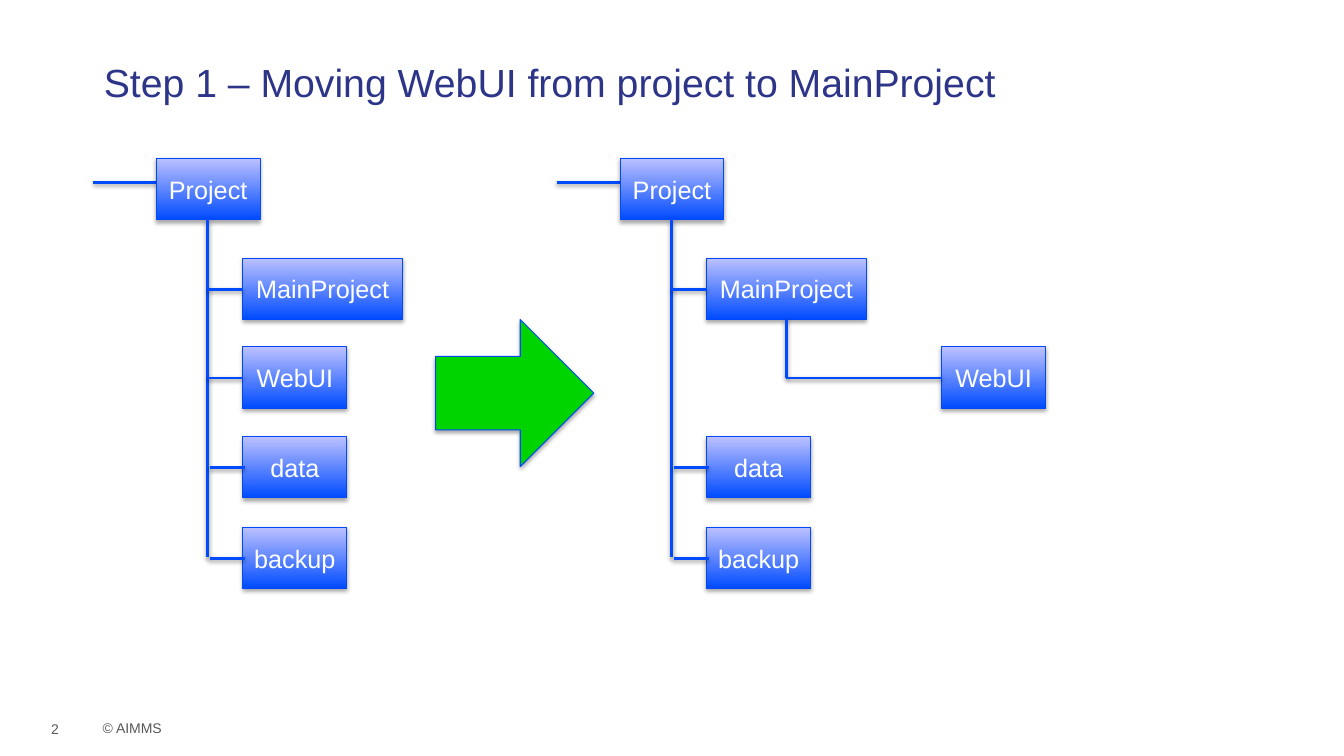
from pptx import Presentation
from pptx.dml.color import RGBColor
from pptx.enum.shapes import MSO_CONNECTOR as Connector, MSO_SHAPE as Shape
from pptx.enum.text import MSO_ANCHOR as Anchor, PP_ALIGN as Align
from pptx.oxml import parse_xml
from pptx.oxml.ns import nsdecls
from pptx.util import Pt

PX = 9144  # 100 px to the inch
COLORS = {
    "title": "2D3589",
    "footer": "585858",
    "line": "004BFF",
    "border": "0049F9",
    "light": "BDC1FF",
    "arrow": "00D400",
    "text": "FFFFFF",
}
BOX_HEIGHT = 61
NARROW, WIDE = 103, 158


def color(name):
    return RGBColor.from_string(COLORS[name])


class TreeSlide:
    font_name = "Arial"

    def __init__(self, presentation):
        self.slide = presentation.slides.add_slide(presentation.slide_layouts[5])
        self.shapes = self.slide.shapes

    def set_text(self, shape, text, size, color_name, align=Align.LEFT, anchor=Anchor.TOP):
        frame = shape.text_frame
        frame.text = text
        frame.word_wrap = False
        frame.vertical_anchor = anchor
        paragraph = frame.paragraphs[0]
        paragraph.alignment = align
        font = paragraph.runs[0].font
        font.name, font.size = self.font_name, Pt(size)
        font.color.rgb = color(color_name)

    def add_shadow(self, shape, distance, opacity):
        """Append a soft downward shadow; fill and line must be set already."""
        shape.element.spPr.append(parse_xml(
            f'<a:effectLst {nsdecls("a")}>'
            f'<a:outerShdw blurRad="{Pt(3.1)}" dist="{Pt(distance)}" dir="5400000" rotWithShape="0">'
            f'<a:srgbClr val="000000"><a:alpha val="{opacity * 1000}"/></a:srgbClr>'
            '</a:outerShdw></a:effectLst>'))

    def title(self, text, left, top, width, height):
        title = self.shapes.title
        title.left, title.top = left * PX, top * PX
        title.width, title.height = width * PX, height * PX
        title.text_frame.margin_top = 10 * PX
        self.set_text(title, text, 28, "title")

    def label(self, text, left, top, width, height, anchor=Anchor.TOP):
        label = self.shapes.add_textbox(left * PX, top * PX, width * PX, height * PX)
        self.set_text(label, text, 10, "footer", anchor=anchor)

    def block(self, kind, left, top, width, height):
        block = self.shapes.add_shape(kind, left * PX, top * PX, width * PX, height * PX)
        block.line.color.rgb = color("border")
        block.line.width = Pt(0.75)
        self.add_shadow(block, 1.8, 35)
        return block

    def folder(self, name, left, top, width=NARROW):
        folder = self.block(Shape.RECTANGLE, left, top, width, BOX_HEIGHT)
        folder.fill.gradient()
        folder.fill.gradient_angle = 90
        for stop, color_name in zip(folder.fill.gradient_stops, ("line", "light")):
            stop.color.rgb = color(color_name)
        self.set_text(folder, name, 18, "text", Align.CENTER, Anchor.MIDDLE)

    def arrow(self, left, top, width, height):
        arrow = self.block(Shape.RIGHT_ARROW, left, top, width, height)
        arrow.fill.solid()
        arrow.fill.fore_color.rgb = color("arrow")

    def line(self, x1, y1, x2, y2):
        line = self.shapes.add_connector(
            Connector.STRAIGHT, x1 * PX, y1 * PX, x2 * PX, y2 * PX)
        line.line.color.rgb = color("line")
        line.line.width = Pt(2)
        self.add_shadow(line, 1.6, 38)

    def tree(self, left, children):
        """Draw a Project root with its trunk and (name, top, width, branch offset) children."""
        trunk = left + 114
        self.line(left, 181, left + 63, 181)
        self.folder("Project", left + 63, 157)
        self.line(trunk, 157 + BOX_HEIGHT, trunk, 553)
        for name, top, width, offset in children:
            self.folder(name, left + 149, top, width)
            middle = top + 31
            self.line(trunk + offset, middle, trunk + offset + 35, middle)


def main():
    presentation = Presentation()
    presentation.slide_width, presentation.slide_height = 1333 * PX, 750 * PX

    page = TreeSlide(presentation)
    page.label("© AIMMS", 92, 709, 80, 27)
    page.title("Step 1 – Moving WebUI from project to MainProject", 93, 48, 1131, 49)
    page.label("2", 41, 696, 51, 40, Anchor.BOTTOM)

    main_project = ("MainProject", 256, WIDE, 0)
    web_ui = ("WebUI", 344, NARROW, 0)
    others = [("data", 433, NARROW, 2), ("backup", 523, NARROW, 2)]
    page.tree(92, [main_project, web_ui, *others])
    page.arrow(432, 317, 157, 146)
    page.tree(552, [main_project, *others])

    page.folder("WebUI", 934, 344)
    page.line(780, 317, 780, 375)
    page.line(780, 375, 934, 375)

    presentation.save("out.pptx")


if __name__ == "__main__":
    main()
